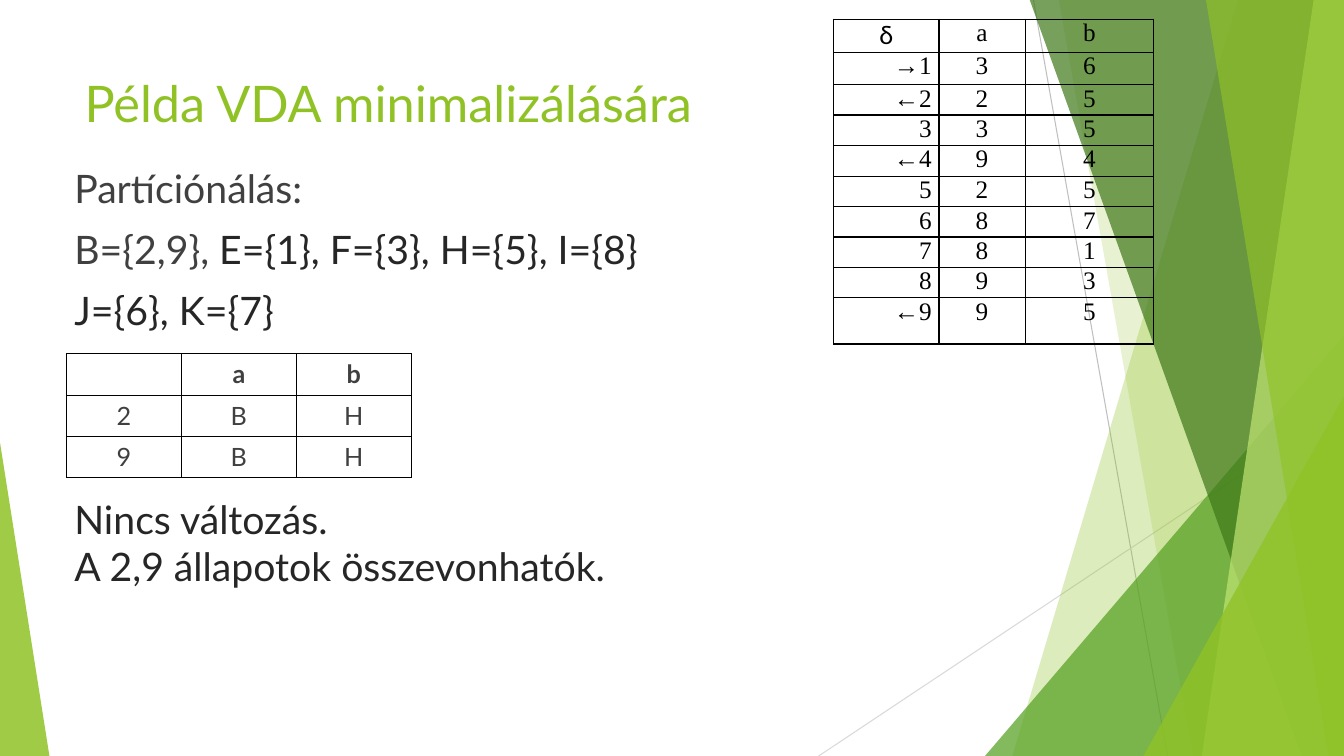
from lxml import etree
from pptx import Presentation
from pptx.dml.color import RGBColor
from pptx.enum.shapes import MSO_CONNECTOR, MSO_SHAPE
from pptx.enum.text import MSO_ANCHOR, PP_ALIGN
from pptx.oxml.ns import qn
from pptx.util import Inches, Pt

STRAIGHT = MSO_CONNECTOR.STRAIGHT
TRIANGLE = MSO_SHAPE.ISOSCELES_TRIANGLE
TOP = MSO_ANCHOR.TOP
CENTER, RIGHT = PP_ALIGN.CENTER, PP_ALIGN.RIGHT
SANS, SERIF = "Lato", "Times New Roman"
WIDTH, HEIGHT = 13.33, 7.5
COLORS = {
    "lime": "90C226", "green": "54A021", "forest": "3F7819", "pale": "C0E474",
    "silver": "BFBFBF", "mist": "D9D9D9",
    "body": "404040", "dark": "262626", "black": "000000",
}
RAYS = [((10.25, 0), (11.58, HEIGHT), "silver"), ((WIDTH, 4.03), (8.12, HEIGHT), "mist")]
BANDS_BEHIND = [(12.28, 10.04, "lime", 30), (10.5, 11.83, "lime", 20)]
BANDS_FRONT = [
    (10.21, 12.91, "forest", 70), (13.03, 11.92, "pale", 70), (11.96, 13.18, "lime", 65),
]
TRANSITIONS = [
    ("δ", "a", "b"), ("→1", "3", "6"), ("←2", "2", "5"), ("3", "3", "5"),
    ("←4", "9", "4"), ("5", "2", "5"), ("6", "8", "7"), ("7", "8", "1"),
    ("8", "9", "3"), ("←9", "9", "5"),
]
TRANSITION_ROWS = [0.33, 0.32, 0.29, 0.28, 0.31, 0.28, 0.28, 0.28, 0.28, 0.46]
CLASSES = [("", "a", "b"), ("2", "B", "H"), ("9", "B", "H")]


def rgb(color):
    return RGBColor.from_string(COLORS[color])


def paint(shape, color, opacity):
    shape.shadow.inherit = False
    shape.fill.solid()
    shape.fill.fore_color.rgb = rgb(color)
    shape.line.fill.background()
    tint = next(shape.element.spPr.iter(qn("a:srgbClr")))
    etree.SubElement(tint, qn("a:alpha")).set("val", str(opacity * 1000))


def add_ray(slide, start, end, color):
    ray = slide.shapes.add_connector(STRAIGHT, *map(Inches, start + end))
    ray.line.color.rgb = rgb(color)
    ray.line.width = Pt(0.75)
    etree.SubElement(ray.element.spPr, qn("a:effectLst"))


def add_band(slide, top_x, bottom_x, color, opacity):
    top = -0.01
    corners = [(top_x, top), (WIDTH, top), (WIDTH, HEIGHT), (bottom_x, HEIGHT)]
    points = [(Inches(x), Inches(y)) for x, y in corners]
    outline = slide.shapes.build_freeform(*points[0])
    outline.add_line_segments(points[1:], close=True)
    paint(outline.convert_to_shape(), color, opacity)


def add_wedge(slide, left, top, right, apex, color, opacity):
    wedge = slide.shapes.add_shape(
        TRIANGLE, Inches(left), Inches(top), Inches(right - left), Inches(HEIGHT - top))
    wedge.adjustments[0] = apex
    paint(wedge, color, opacity)


def add_backdrop(slide):
    for ray in RAYS:
        add_ray(slide, *ray)
    for band in BANDS_BEHIND:
        add_band(slide, *band)
    add_wedge(slide, 9.77, 3.33, WIDTH, 1, "green", 72)
    for band in BANDS_FRONT:
        add_band(slide, *band)
    add_wedge(slide, 11.34, 3.93, WIDTH, 1, "lime", 80)
    add_wedge(slide, 0, 4.39, 0.49, 0, "lime", 85)


def add_run(paragraph, text, size, color, font=SANS, bold=False):
    run = paragraph.add_run()
    run.text = text
    run.font.size = Pt(size)
    run.font.name = font
    run.font.bold = bold
    run.font.color.rgb = rgb(color)


def add_text(slide, box, lines, size, gap=0):
    frame = slide.shapes.add_textbox(*map(Inches, box)).text_frame
    frame.word_wrap = True
    frame.vertical_anchor = TOP
    for index, line in enumerate(lines):
        paragraph = frame.paragraphs[0] if index == 0 else frame.add_paragraph()
        if index:
            paragraph.space_before = Pt(gap)
        for text, color in line:
            add_run(paragraph, text, size, color)


def add_borders(cell, widths):
    properties = cell._tc.get_or_add_tcPr()
    for side, width in zip("LRTB", widths):
        line = etree.SubElement(properties, qn(f"a:ln{side}"), w=str(Pt(width)))
        fill = etree.SubElement(line, qn("a:solidFill"))
        etree.SubElement(fill, qn("a:srgbClr"), val=COLORS["black"])
    cell.fill.background()


def add_grid(slide, left, top, columns, heights, rows, write_cell, head_width=1):
    table = slide.shapes.add_table(
        len(heights), len(columns), Inches(left), Inches(top),
        Inches(sum(columns)), Inches(sum(heights))).table
    table.first_row = table.horz_banding = False
    for column, width in zip(table.columns, columns):
        column.width = Inches(width)
    for row, height in zip(table.rows, heights):
        row.height = Inches(height)
    for r, texts in enumerate(rows):
        for c, text in enumerate(texts):
            cell = table.cell(r, c)
            add_borders(cell, [
                head_width if c == 1 else 1, head_width if c == 0 else 1,
                head_width if r == 1 else 1, head_width if r == 0 else 1])
            write_cell(cell, text, r, c)


def write_transition(cell, text, row, column):
    cell.margin_left = cell.margin_right = Inches(0.07)
    cell.margin_top = cell.margin_bottom = 0
    paragraph = cell.text_frame.paragraphs[0]
    paragraph.alignment = RIGHT if row and column == 0 else CENTER
    add_run(paragraph, text, 18, "black", SANS if text == "δ" else SERIF)


def write_class(cell, text, row, column):
    if text:
        paragraph = cell.text_frame.paragraphs[0]
        paragraph.alignment = CENTER
        add_run(paragraph, text, 18, "body", bold=row == 0)


def main():
    deck = Presentation()
    deck.slide_width, deck.slide_height = Inches(WIDTH), Inches(HEIGHT)
    slide = deck.slides.add_slide(deck.slide_layouts[6])
    add_backdrop(slide)
    add_text(slide, (0.74, 0.67, 9.4, 1.44), [[("Példa VDA minimalizálására", "lime")]], 36)
    add_text(slide, (0.64, 1.58, 9.4, 1.83), [
        [("Partíciónálás:", "body")],
        [("B={2,9}, ", "body"), ("E={1}, F={3}, H={5}, I={8}", "dark")],
        [("J={6}, K={7}", "dark")],
    ], 28, gap=10)
    add_grid(slide, 8.27, 0.19, [1.04, 0.86, 1.27], TRANSITION_ROWS, TRANSITIONS,
             write_transition, head_width=1.5)
    add_grid(slide, 0.66, 3.51, [1.14] * 3, [0.41] * 3, CLASSES, write_class)
    add_text(slide, (0.64, 4.86, 6.86, 1.04), [
        [("Nincs változás.", "dark")],
        [("A 2,9 állapotok összevonhatók.", "dark")],
    ], 28)
    deck.save("out.pptx")


if __name__ == "__main__":
    main()
